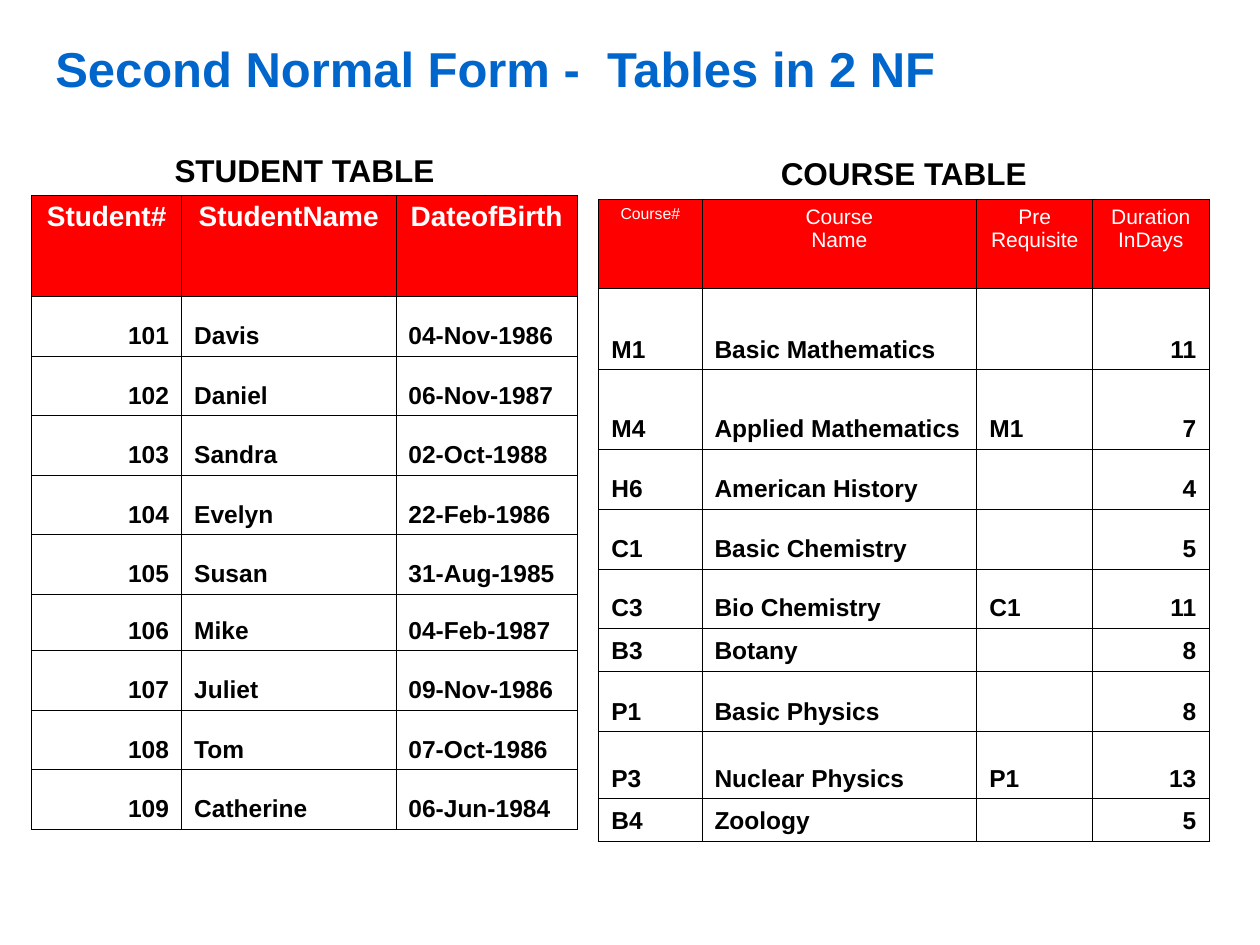
from dataclasses import dataclass

from lxml.etree import SubElement
from pptx import Presentation
from pptx.dml.color import RGBColor
from pptx.enum.text import MSO_ANCHOR, PP_ALIGN
from pptx.oxml.ns import qn
from pptx.util import Cm, Pt


@dataclass(frozen=True)
class Theme:
    font: str = "Arial"
    blue: str = "0066CC"
    red: str = "FF0000"
    black: str = "000000"
    white: str = "FFFFFF"
    title: int = 28
    label: int = 18
    body: int = 14
    line: float = 0.45
    plain: str = "{2D5ABB26-0587-4C30-8999-92F81FD0307C}"  # no style, no grid


THEME = Theme()
ALIGN = {"l": PP_ALIGN.LEFT, "c": PP_ALIGN.CENTER, "r": PP_ALIGN.RIGHT}

STUDENTS = [
    ("101", "Davis", "04-Nov-1986"),
    ("102", "Daniel", "06-Nov-1987"),
    ("103", "Sandra", "02-Oct-1988"),
    ("104", "Evelyn", "22-Feb-1986"),
    ("105", "Susan", "31-Aug-1985"),
    ("106", "Mike", "04-Feb-1987"),
    ("107", "Juliet", "09-Nov-1986"),
    ("108", "Tom", "07-Oct-1986"),
    ("109", "Catherine", "06-Jun-1984"),
]
COURSES = [
    ("M1", "Basic Mathematics", "", "11"),
    ("M4", "Applied Mathematics", "M1", "7"),
    ("H6", "American History", "", "4"),
    ("C1", "Basic Chemistry", "", "5"),
    ("C3", "Bio Chemistry", "C1", "11"),
    ("B3", "Botany", "", "8"),
    ("P1", "Basic Physics", "", "8"),
    ("P3", "Nuclear Physics", "P1", "13"),
    ("B4", "Zoology", "", "5"),
]


@dataclass(frozen=True)
class Grid:
    """One table: place and sizes in cm, heads as (text, points)."""
    label: str
    left: float
    top: float
    cols: tuple
    rows: tuple
    heads: tuple
    bold: bool
    align: str
    data: list


STUDENT = Grid(
    "STUDENT TABLE", 0.64, 2.74, (3.02, 4.32, 3.66),
    (1.2, 2.04, *[1.2] * 5, 1.14, *[1.2] * 3),
    (("Student#", 16), ("StudentName", 16), ("DateofBirth", 16)),
    True, "rll", STUDENTS)
COURSE = Grid(
    "COURSE TABLE", 12.07, 2.97, (2.08, 5.54, 2.34, 2.34),
    (1.04, 1.81, 1.63, 1.6, 1.22, 1.2, 1.2, 0.86, 1.22, 1.35, 0.86),
    (("Course#", 9), ("Course\nName", 12), ("Pre\nRequisite", 12),
     ("Duration\nInDays", 12)),
    False, "lllr", COURSES)


def style(frame, size, color, bold=True, align="l"):
    for para in frame.paragraphs:
        para.alignment = ALIGN[align]
        font = para.font
        font.name, font.size, font.bold = THEME.font, Pt(size), bold
        font.color.rgb = RGBColor.from_string(color)


def rule(cell, sides):
    """Draw thin lines on the given sides, in the order L, R, T, B."""
    props = cell._tc.get_or_add_tcPr()
    for side in sides:
        line = SubElement(props, qn(f"a:ln{side}"), w=str(Pt(THEME.line)))
        fill = SubElement(line, qn("a:solidFill"))
        SubElement(fill, qn("a:srgbClr"), val=THEME.black)


def put(cell, text, size, color, bold=True, align="l", fill=None):
    """Write a ruled cell; a filled one is a head, with its text on top."""
    cell.text = text
    style(cell.text_frame, size, color, bold, align)
    rule(cell, "LRTB")
    if fill:
        cell.fill.solid()
        cell.fill.fore_color.rgb = RGBColor.from_string(fill)
    else:
        cell.fill.background()
        cell.vertical_anchor = MSO_ANCHOR.BOTTOM
    if not text:  # keeps an empty cell as low as its row
        para = cell.text_frame.paragraphs[0]._p
        SubElement(para, qn("a:endParaRPr"), sz=str(size * 100))


def add_label(table, text):
    """Merge the top row into a caption with a line below only."""
    cells = list(table.rows[0].cells)
    for cell in cells:
        rule(cell, "B")
        cell.fill.background()
    cells[0].merge(cells[-1])
    cells[0].text = text
    cells[0].vertical_anchor = MSO_ANCHOR.BOTTOM
    style(cells[0].text_frame, THEME.label, THEME.black, align="c")


def add_grid(slide, grid):
    table = slide.shapes.add_table(
        len(grid.rows), len(grid.cols), Cm(grid.left), Cm(grid.top),
        Cm(sum(grid.cols)), Cm(sum(grid.rows))).table
    table.first_row = table.horz_banding = False
    table._tbl.tblPr.find(qn("a:tableStyleId")).text = THEME.plain
    for col, width in zip(table.columns, grid.cols):
        col.width = Cm(width)
    for row, height in zip(table.rows, grid.rows):
        row.height = Cm(height)

    add_label(table, grid.label)
    for col, (text, size) in enumerate(grid.heads):
        put(table.cell(1, col), text, size, THEME.white, grid.bold, "c",
            THEME.red)
    for row, texts in enumerate(grid.data, 2):
        for col, text in enumerate(texts):
            put(table.cell(row, col), text, THEME.body, THEME.black,
                align=grid.align[col])


def add_title(slide, text):
    title = slide.shapes.title
    title.left, title.top = Cm(0.86), Cm(0.66)
    title.width, title.height = Cm(23.83), Cm(1.42)
    frame = title.text_frame
    frame.text = text
    frame.vertical_anchor = MSO_ANCHOR.MIDDLE
    style(frame, THEME.title, THEME.blue)


def main():
    deck = Presentation()
    deck.slide_width, deck.slide_height = Cm(25.4), Cm(19.05)
    slide = deck.slides.add_slide(deck.slide_layouts.get_by_name("Title Only"))
    add_title(slide, "Second Normal Form -  Tables in 2 NF")
    for grid in (STUDENT, COURSE):
        add_grid(slide, grid)
    deck.save("out.pptx")


if __name__ == "__main__":
    main()
